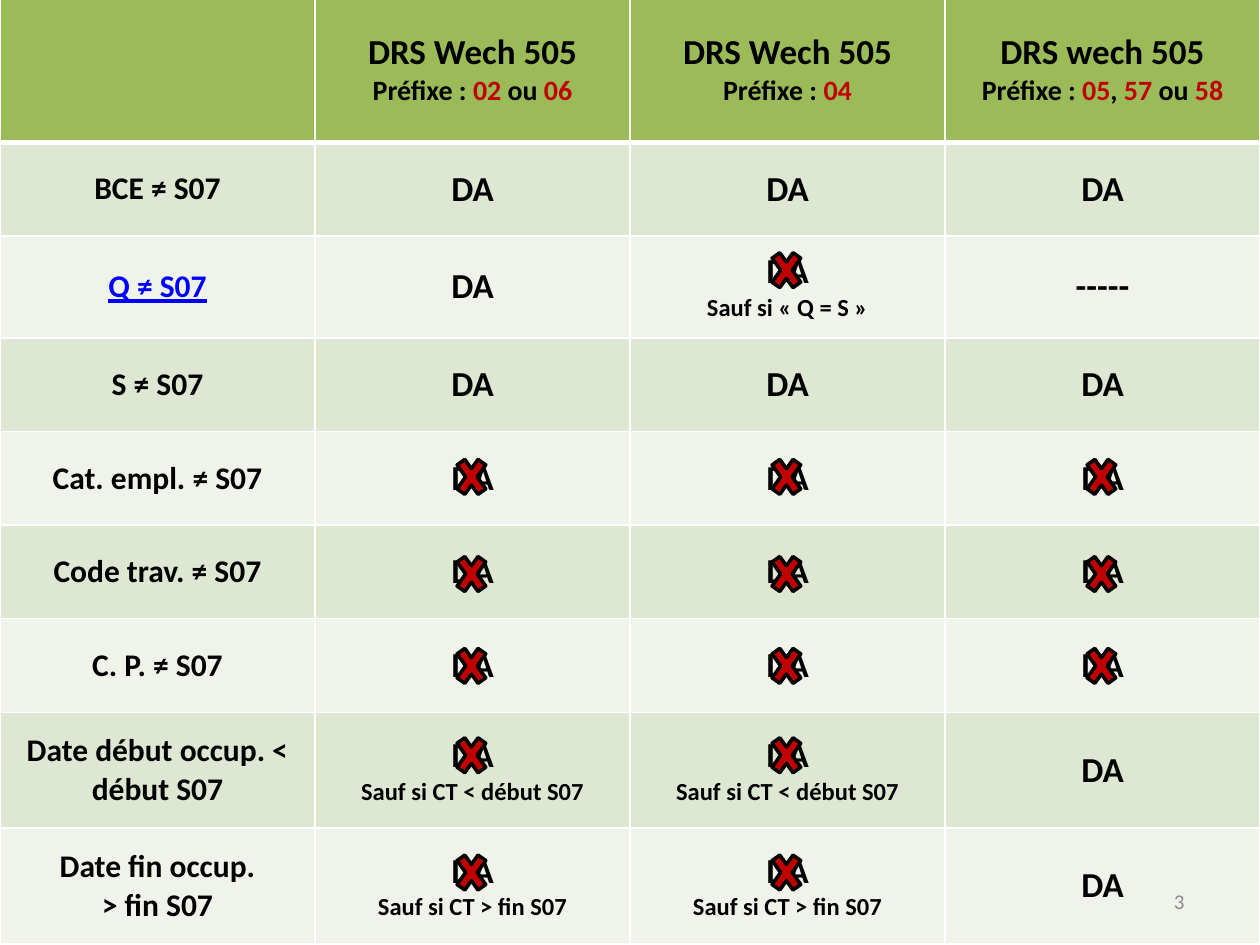
from pptx import Presentation
from pptx.dml.color import RGBColor as RGB
from pptx.enum.shapes import MSO_SHAPE as Kind
from pptx.enum.text import MSO_ANCHOR as Anchor, PP_ALIGN as Align
from pptx.oxml import parse_xml
from pptx.oxml.ns import nsdecls
from pptx.util import Pt

RED, BLACK, BLUE = "C00000", "000000", "0000FF"
GREEN, DARK, LIGHT = "9BBB59", "DEE7D1", "EFF3EA"
GREY, WHITE = "8C8C8C", "FFFFFF"


def color(code):
    return RGB.from_string(code)


class Page:
    font = "Calibri"

    def __init__(self, deck):
        self.slide = deck.slides.add_slide(deck.slide_layouts[6])

    def line(self, para, text, size, tone=BLACK, bold=True, align=Align.CENTER):
        """Fill a paragraph; parts between bars are red."""
        para.alignment = align
        font = para.font
        font.name, font.size, font.bold = self.font, Pt(size), bold
        parts = text.split("|")
        if len(parts) == 1:
            font.color.rgb = color(tone)
        for i, part in enumerate(parts):
            if part:
                run = para.add_run()
                run.text = part
                if len(parts) > 1:
                    run.font.color.rgb = color(RED if i % 2 else tone)

    def border(self, cell, low):
        props = cell._tc.get_or_add_tcPr()
        sides = {"lnL": 1, "lnR": 1, "lnT": 1, "lnB": low}
        for at, (side, wide) in enumerate(sides.items()):
            props.insert(at, parse_xml(
                f'<a:{side} {nsdecls("a")} w="{Pt(wide)}"><a:solidFill>'
                f'<a:srgbClr val="{WHITE}"/></a:solidFill></a:{side}>'))

    def cell(self, cell, lines, fill, tone=BLACK, low=1):
        cell.fill.solid()
        cell.fill.fore_color.rgb = color(fill)
        cell.vertical_anchor = Anchor.MIDDLE
        self.border(cell, low)
        frame = cell.text_frame
        for i, (text, size) in enumerate(lines):
            para = frame.add_paragraph() if i else frame.paragraphs[0]
            self.line(para, text, size, tone)
            if tone == BLUE:
                para.font.underline = True

    def table(self, x, y, widths, heights):
        grid = self.slide.shapes.add_table(
            len(heights), len(widths), Pt(x), Pt(y),
            Pt(sum(widths)), Pt(sum(heights))).table
        grid.first_row = grid.horz_banding = False
        for col, width in zip(grid.columns, widths):
            col.width = Pt(width)
        for row, height in zip(grid.rows, heights):
            row.height = Pt(height)
        return grid

    def cross(self, x, y):
        mark = self.slide.shapes.add_shape(
            Kind.MATH_MULTIPLY, Pt(x), Pt(y), Pt(23), Pt(32.4))
        mark.shadow.inherit = False
        mark.fill.solid()
        mark.fill.fore_color.rgb = color(RED)
        mark.line.color.rgb = color(BLACK)
        mark.line.width = Pt(2)

    def label(self, x, y, w, h, text, size, tone):
        box = self.slide.shapes.add_textbox(Pt(x), Pt(y), Pt(w), Pt(h))
        frame = box.text_frame
        frame.word_wrap = True
        frame.vertical_anchor = Anchor.MIDDLE
        self.line(frame.paragraphs[0], text, size, tone, False, Align.RIGHT)


def main():
    deck = Presentation()
    deck.slide_width, deck.slide_height = Pt(720), Pt(540)
    page = Page(deck)

    # Table content
    heads = [("DRS Wech 505", "Préfixe : |02| ou |06|"),
             ("DRS Wech 505", "Préfixe : |04|"),
             ("DRS wech 505", "Préfixe : |05|, |57| ou |58|")]
    da = [("DA", 20)]
    start = da + [("Sauf si CT < début S07", 14)]
    end = da + [("Sauf si CT > fin S07", 14)]
    same = da + [("Sauf si « Q = S »", 14)]
    rows = [(["BCE ≠ S07"], [da] * 3),
            (["Q ≠ S07"], [da, same, [("-----", 20)]]),
            (["S ≠ S07"], [da] * 3),
            (["Cat. empl. ≠ S07"], [da] * 3),
            (["Code trav. ≠ S07"], [da] * 3),
            (["C. P. ≠ S07"], [da] * 3),
            (["Date début occup. < début S07"], [start, start, da]),
            (["Date fin occup.", "> fin S07"], [end, end, da])]

    # Table
    heights = [83.5, 53.5, 58.3] + [53.5] * 4 + [66.2] * 2
    grid = page.table(0, -2.2, [180] * 4, heights)
    page.cell(grid.cell(0, 0), [], GREEN, low=3)
    for c, (title, prefix) in enumerate(heads, 1):
        page.cell(grid.cell(0, c), [(title, 20), (prefix, 16)], GREEN, low=3)
    for r, (name, marks) in enumerate(rows, 1):
        fill = DARK if r % 2 else LIGHT
        tone = BLUE if name == ["Q ≠ S07"] else BLACK
        page.cell(grid.cell(r, 0), [(text, 18) for text in name], fill, tone)
        for c, lines in enumerate(marks, 1):
            page.cell(grid.cell(r, c), lines, fill)

    # Crosses: top of each row of marks and the columns struck out
    struck = [(138.2, [1]), (256.3, [0, 1, 2]), (311.8, [0, 1, 2]),
              (364.3, [0, 1, 2]), (415.4, [0, 1]), (482.4, [0, 1])]
    for y, cols in struck:
        for c in cols:
            page.cross(257.9 + 180 * c, y)

    # Page number
    page.label(516, 500.5, 168, 28.8, "3", 12, GREY)
    deck.save("out.pptx")


if __name__ == "__main__":
    main()
